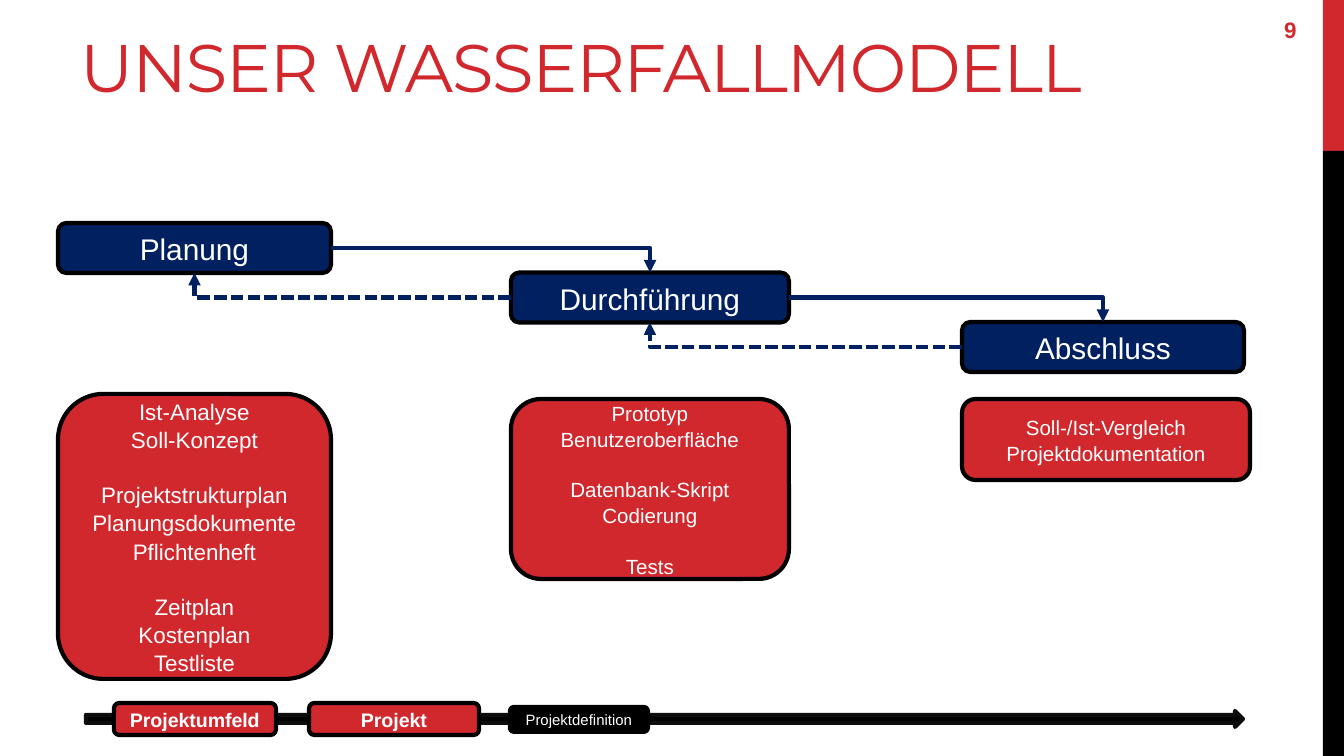
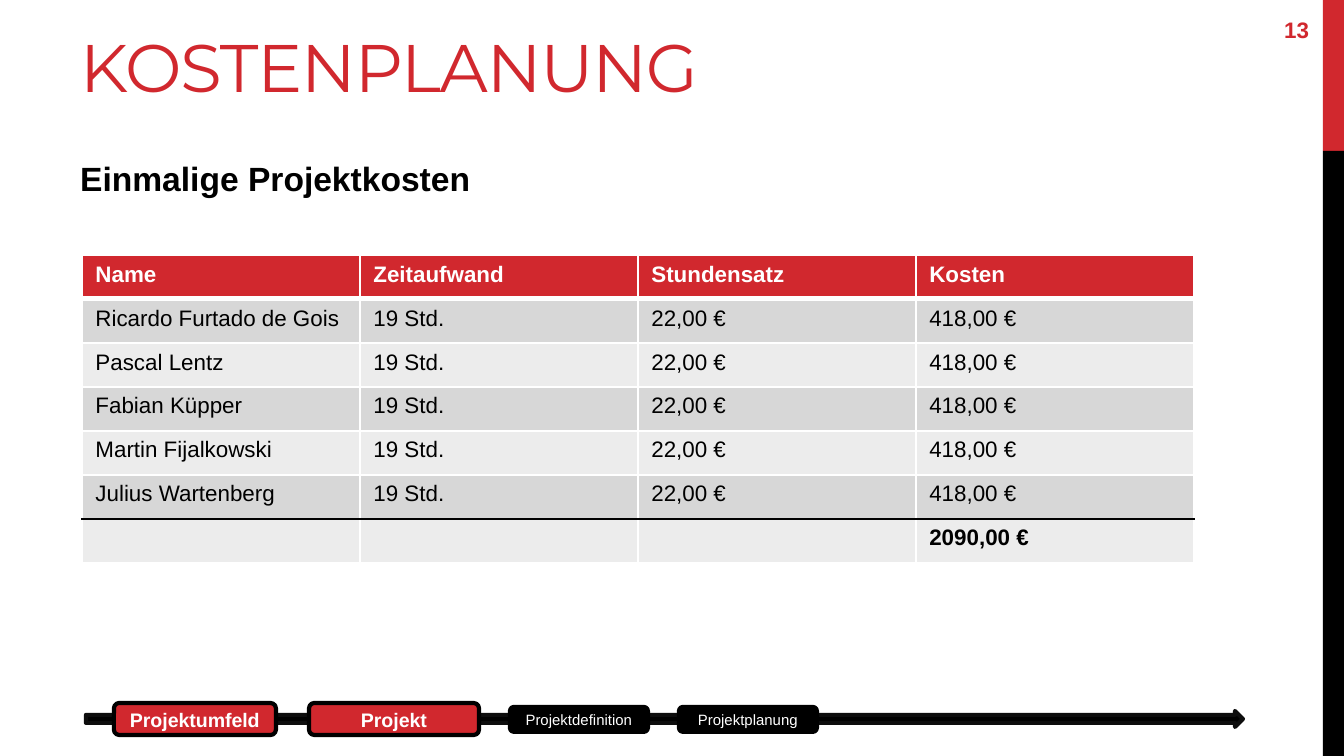
from lxml import etree
from pptx import Presentation
from pptx import util as u
from pptx.dml.color import RGBColor
from pptx.enum import dml, shapes, text
from pptx.oxml import ns

RED = RGBColor(0xD1, 0x28, 0x2E)
NAVY = RGBColor(0x00, 0x20, 0x60)
BLACK = RGBColor(0, 0, 0)
NEAR_BLACK = RGBColor(0x0D, 0x0D, 0x0D)
WHITE = RGBColor(0xFF, 0xFF, 0xFF)
DARK_BAND = RGBColor(0xD7, 0xD7, 0xD7)
LIGHT_BAND = RGBColor(0xEC, 0xEC, 0xEC)

EMU_PER_PIXEL = 914400 / 134.4
WIDTH, HEIGHT = 1344, 756
TOP, LEFT, BOTTOM, RIGHT = range(4)
STEPS = [("Projektumfeld", 114, 162), ("Projekt", 309, 170)]
SUBSTEPS = [("Projektdefinition", 510, 138), ("Projektplanung", 679, 138)]


def px(value):
    return u.Emu(round(value * EMU_PER_PIXEL))


class Deck:
    def __init__(self):
        self.presentation = Presentation()
        self.presentation.slide_width = px(WIDTH)
        self.presentation.slide_height = px(HEIGHT)
        self.slide = None

    def add_slide(self, title, number, substep_count):
        layout = self.presentation.slide_layouts[6]
        self.slide = self.presentation.slides.add_slide(layout)
        self.box("RECTANGLE", 1323, 0, 21, 151, RED)
        self.box("RECTANGLE", 1323, 151, 21, 605, BLACK)
        heading = self.label(title, 67, 23, 1154, 90, 36, RED, font="Montserrat",
                             anchor=text.MSO_ANCHOR.BOTTOM)
        for run in heading.text_frame.paragraphs[0].runs:
            run.font._element.set("spc", "-60")
        self.label(str(number), 1271, 3, 73, 54, 12, RED, bold=True,
                   anchor=text.MSO_ANCHOR.MIDDLE)
        self.box("RIGHT_ARROW", 86, 711, 1157, 16, BLACK, NEAR_BLACK)
        for name, left, width in STEPS:
            self.node([[name]], left, 703, width, 32, RED, 10.5, bold=True)
        for name, left, width in SUBSTEPS[:substep_count]:
            self.node([[name]], left, 707, width, 25, BLACK, 8)

    def style(self, paragraph, size, color, bold=False, font="Arial"):
        for run in paragraph.runs:
            run.font.name = font
            run.font.size = u.Pt(size)
            run.font.bold = bold
            run.font.color.rgb = color

    def box(self, kind, left, top, width, height, fill, line=None):
        shape = self.slide.shapes.add_shape(
            getattr(shapes.MSO_SHAPE, kind), px(left), px(top), px(width), px(height))
        shape.shadow.inherit = False
        shape.fill.solid()
        shape.fill.fore_color.rgb = fill
        if line is None:
            shape.line.fill.background()
        else:
            shape.line.color.rgb = line
            shape.line.width = u.Pt(2.25)
        return shape

    def label(self, content, left, top, width, height, size, color, bold=False,
              font="Arial", anchor=text.MSO_ANCHOR.TOP):
        shape = self.slide.shapes.add_textbox(px(left), px(top), px(width), px(height))
        frame = shape.text_frame
        frame.word_wrap = True
        frame.vertical_anchor = anchor
        frame.text = content
        self.style(frame.paragraphs[0], size, color, bold, font)
        return shape

    def node(self, groups, left, top, width, height, fill, size, bold=False):
        shape = self.box("ROUNDED_RECTANGLE", left, top, width, height, fill, BLACK)
        frame = shape.text_frame
        frame.word_wrap = True
        frame.vertical_anchor = text.MSO_ANCHOR.MIDDLE
        frame.margin_left = frame.margin_right = 0
        frame.margin_top = frame.margin_bottom = 0
        frame.text = "\n".join(line for group in groups for line in group)
        group_starts = {sum(map(len, groups[:i])) for i in range(1, len(groups))}
        for index, paragraph in enumerate(frame.paragraphs):
            paragraph.alignment = text.PP_ALIGN.CENTER
            paragraph.line_spacing = 1.05
            if index in group_starts:
                paragraph.space_before = u.Pt(size * 1.2)
            self.style(paragraph, size, WHITE, bold)
        return shape

    def elbow(self, source, target, target_side, source_side, dashed=False):
        connector = self.slide.shapes.add_connector(
            shapes.MSO_CONNECTOR.ELBOW, 0, 0, 0, 0)
        connector.begin_connect(source, source_side)
        connector.end_connect(target, target_side)
        connector.line.color.rgb = NAVY
        connector.line.width = u.Pt(2.25)
        if dashed:
            connector.line.dash_style = dml.MSO_LINE.SQUARE_DOT
        properties = connector._element.spPr
        properties.find(ns.qn("a:prstGeom")).set("prst", "bentConnector2")
        line = properties.find(ns.qn("a:ln"))
        etree.SubElement(line, ns.qn("a:tailEnd"), type="triangle")
        etree.SubElement(properties, ns.qn("a:effectLst"))

    def cell_borders(self, cell, top, bottom):
        sides = {"L": (WHITE, 1), "R": (WHITE, 1), "T": top, "B": bottom}
        properties = cell._tc.get_or_add_tcPr()
        for position, (side, (color, width)) in enumerate(sides.items()):
            line = etree.Element(ns.qn("a:ln" + side), w=str(u.Pt(width)))
            fill = etree.SubElement(line, ns.qn("a:solidFill"))
            etree.SubElement(fill, ns.qn("a:srgbClr"), val=str(color))
            properties.insert(position, line)

    def table(self, rows, left, top, column_width, row_height):
        columns = len(rows[0])
        table = self.slide.shapes.add_table(
            len(rows), columns, px(left), px(top),
            px(column_width * columns), px(row_height * len(rows))).table
        last = len(rows) - 1
        borders = [(WHITE, 1)] + [(WHITE, 3)] + [(WHITE, 1)] * (last - 2)
        borders += [(BLACK, 1), (WHITE, 1)]
        for r, values in enumerate(rows):
            fill = RED if r == 0 else DARK_BAND if r % 2 else LIGHT_BAND
            for c, value in enumerate(values):
                cell = table.cell(r, c)
                cell.fill.solid()
                cell.fill.fore_color.rgb = fill
                self.cell_borders(cell, borders[r], borders[r + 1])
                cell.text_frame.text = value
                paragraph = cell.text_frame.paragraphs[0]
                self.style(paragraph, 12, BLACK if r else WHITE, r in (0, last))
                if not value:
                    etree.SubElement(paragraph._p, ns.qn("a:endParaRPr"), sz="1200")


deck = Deck()

deck.add_slide("UNSER WASSERFALLMODELL", 9, 1)
phases = [
    deck.node([[name]], left, 223 + 49.5 * i, width, 50, NAVY, 16)
    for i, (name, left, width) in enumerate([
        ("Planung", 58, 273), ("Durchführung", 511, 278), ("Abschluss", 962, 282)])
]
deck.node([["Ist-Analyse", "Soll-Konzept"],
           ["Projektstrukturplan", "Planungsdokumente", "Pflichtenheft"],
           ["Zeitplan", "Kostenplan", "Testliste"]], 58, 394, 273, 285, RED, 12)
deck.node([["Prototyp", "Benutzeroberfläche"],
           ["Datenbank-Skript", "Codierung"],
           ["Tests"]], 511, 399, 278, 180, RED, 11)
deck.node([["Soll-/Ist-Vergleich", "Projektdokumentation"]], 962, 399, 288, 81, RED, 11)
for earlier, later in zip(phases, phases[1:]):
    deck.elbow(earlier, later, TOP, RIGHT)
    deck.elbow(later, earlier, BOTTOM, LEFT, dashed=True)

deck.add_slide("KOSTENPLANUNG", 13, 2)
deck.label("Einmalige Projektkosten", 67, 151, 421, 54, 18, BLACK, bold=True)
members = ["Ricardo Furtado de Gois", "Pascal Lentz", "Fabian Küpper",
           "Martin Fijalkowski", "Julius Wartenberg"]
deck.table([["Name", "Zeitaufwand", "Stundensatz", "Kosten"]]
           + [[member, "19 Std.", "22,00 €", "418,00 €"] for member in members]
           + [["", "", "", "2090,00 €"]], 82, 255, 278, 44)

deck.presentation.save("out.pptx")
